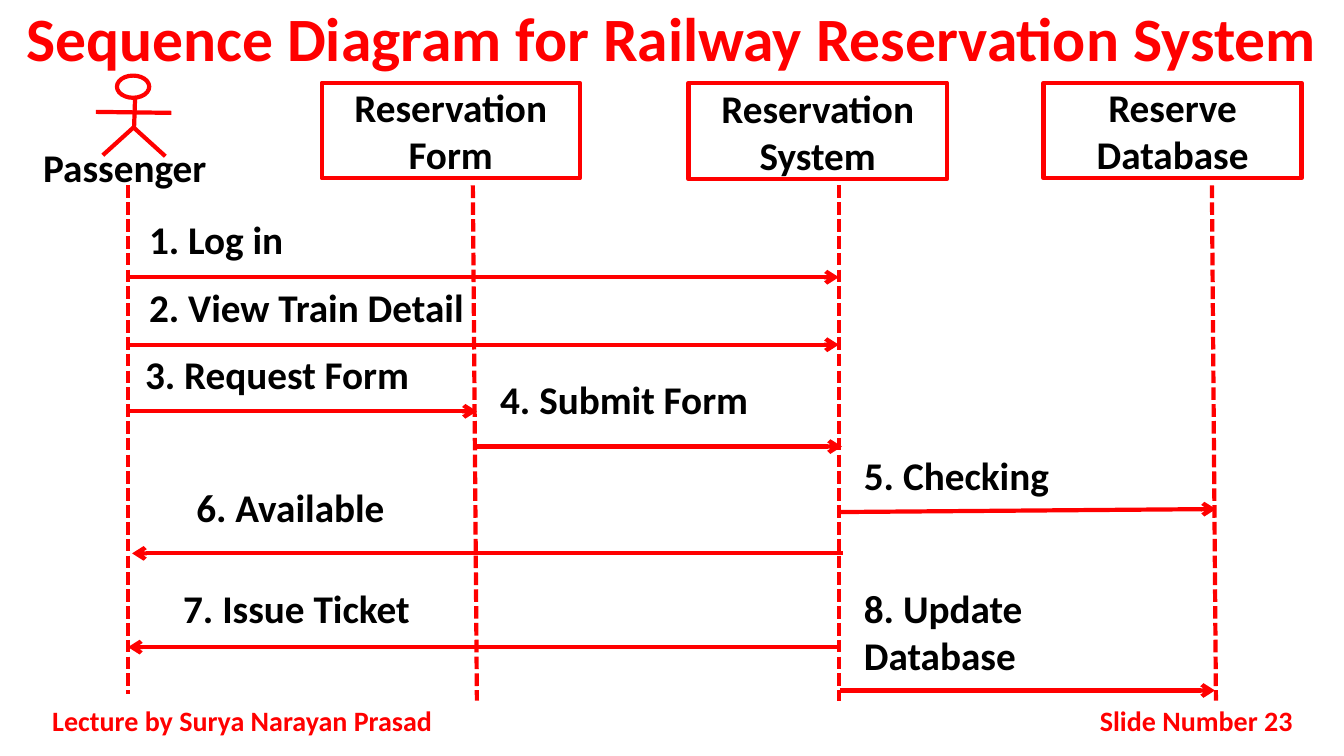
from lxml.etree import SubElement
from pptx import Presentation
from pptx.dml.color import RGBColor
from pptx.enum.dml import MSO_LINE
from pptx.enum.shapes import MSO_CONNECTOR, MSO_SHAPE
from pptx.enum.text import MSO_ANCHOR, PP_ALIGN
from pptx.oxml.ns import qn
from pptx.util import Inches, Pt

RED, BLACK, WHITE = "FF0000", "000000", "FFFFFF"


def color(code):
    return RGBColor.from_string(code)


class Sketch:
    """Draws red outlines and bold Calibri text on one slide."""

    def __init__(self, slide):
        self.shapes = slide.shapes
        self.font = "Calibri"
        self.size = 28
        self.width = Pt(3)

    def label(self, frame, words, align, anchor, size=None, ink=BLACK, space=None):
        frame.word_wrap = True
        frame.vertical_anchor = anchor
        para = frame.paragraphs[0]
        para.alignment = align
        if space:
            para.line_spacing = space
        run = para.add_run()
        run.text = words
        font = run.font
        font.name, font.size, font.bold = self.font, Pt(size or self.size), True
        font.color.rgb = color(ink)

    def text(self, place, words, align=PP_ALIGN.LEFT, anchor=MSO_ANCHOR.TOP, **style):
        box = self.shapes.add_textbox(*map(Inches, place))
        self.label(box.text_frame, words, align, anchor, **style)

    def shape(self, kind, place, words=None, fill=None):
        item = self.shapes.add_shape(kind, *map(Inches, place))
        item.shadow.inherit = False
        if fill:
            item.fill.solid()
            item.fill.fore_color.rgb = color(fill)
        else:
            item.fill.background()
        item.line.color.rgb = color(RED)
        item.line.width = self.width
        if words:
            self.label(item.text_frame, words, PP_ALIGN.CENTER, MSO_ANCHOR.MIDDLE)

    def line(self, start, end, dash=None, arrow=False):
        item = self.shapes.add_connector(
            MSO_CONNECTOR.STRAIGHT, *map(Inches, (*start, *end)))
        item.line.color.rgb = color(RED)
        item.line.width = self.width
        if dash:
            item.line.dash_style = dash
        props = item._element.spPr
        if arrow:
            SubElement(props.find(qn("a:ln")), qn("a:tailEnd"), type="arrow")
        SubElement(props, qn("a:effectLst"))


deck = Presentation()
deck.slide_width, deck.slide_height = Inches(13.33), Inches(7.5)
sketch = Sketch(deck.slides.add_slide(deck.slide_layouts[6]))

sketch.text((0, 0, 13.33, 0.83), "Sequence Diagram for Railway Reservation System",
            PP_ALIGN.CENTER, MSO_ANCHOR.MIDDLE, size=44, ink=RED, space=0.9)
for left, width, words, align in (
    (0.42, 4.17, "Lecture by Surya Narayan Prasad", PP_ALIGN.JUSTIFY),
    (10.17, 2.75, "Slide Number 23", PP_ALIGN.RIGHT),
):
    sketch.text((left, 6.95, width, 0.4), words, align, MSO_ANCHOR.MIDDLE,
                size=20, ink=RED)

sketch.shape(MSO_SHAPE.OVAL, (1.16, 0.75, 0.32, 0.22), fill=WHITE)
for start, end in (
    ((1.34, 0.97), (1.33, 1.26)),
    ((1.34, 1.25), (1.02, 1.54)),
    ((1.32, 1.26), (1.64, 1.55)),
    ((0.95, 1.11), (1.7, 1.12)),
):
    sketch.line(start, end)
sketch.text((0.33, 1.37, 1.98, 0.57), "Passenger")

for left, high, words in (
    (3.19, 0.95, "Reservation Form"),
    (6.83, 0.96, "Reservation System"),
    (10.35, 0.95, "Reserve Database"),
):
    sketch.shape(MSO_SHAPE.RECTANGLE, (left, 0.82, 2.56, high), words)

for top, foot, end in (
    (1.27, 1.27, 6.89), (4.69, 4.73, 6.95), (8.32, 8.32, 6.95), (12.02, 12.06, 6.95),
):
    sketch.line((top, 1.84), (foot, end), dash=MSO_LINE.SQUARE_DOT)

LEFT, MID = PP_ALIGN.LEFT, PP_ALIGN.CENTER
calls = (
    ("Log in", (1.38, 2.09, 2.78, 0.57), LEFT, (1.27, 2.75), (8.32, 2.75)),
    ("View Train Detail", (1.38, 2.76, 4.54, 0.57), LEFT, (1.27, 3.42), (8.32, 3.42)),
    ("Request Form", (1.34, 3.43, 3.2, 0.57), LEFT, (1.27, 4.08), (4.73, 4.08)),
    ("Submit Form", (4.8, 3.67, 2.78, 0.57), MID, (4.7, 4.43), (8.35, 4.43)),
    ("Checking", (8.47, 4.43, 2.78, 0.57), LEFT, (8.32, 5.08), (12.06, 5.05)),
    ("Available", (1.49, 4.75, 2.78, 0.57), MID, (8.36, 5.49), (1.31, 5.49)),
    ("Issue Ticket", (1.55, 5.75, 2.78, 0.57), MID, (8.32, 6.42), (1.27, 6.42)),
    ("Update Database", (8.47, 5.75, 3.16, 1.04), LEFT, (8.33, 6.85), (12.05, 6.85)),
)
for step, (words, place, align, start, end) in enumerate(calls, 1):
    sketch.line(start, end, arrow=True)
    sketch.text(place, f"{step}. {words}", align)

deck.save("out.pptx")
